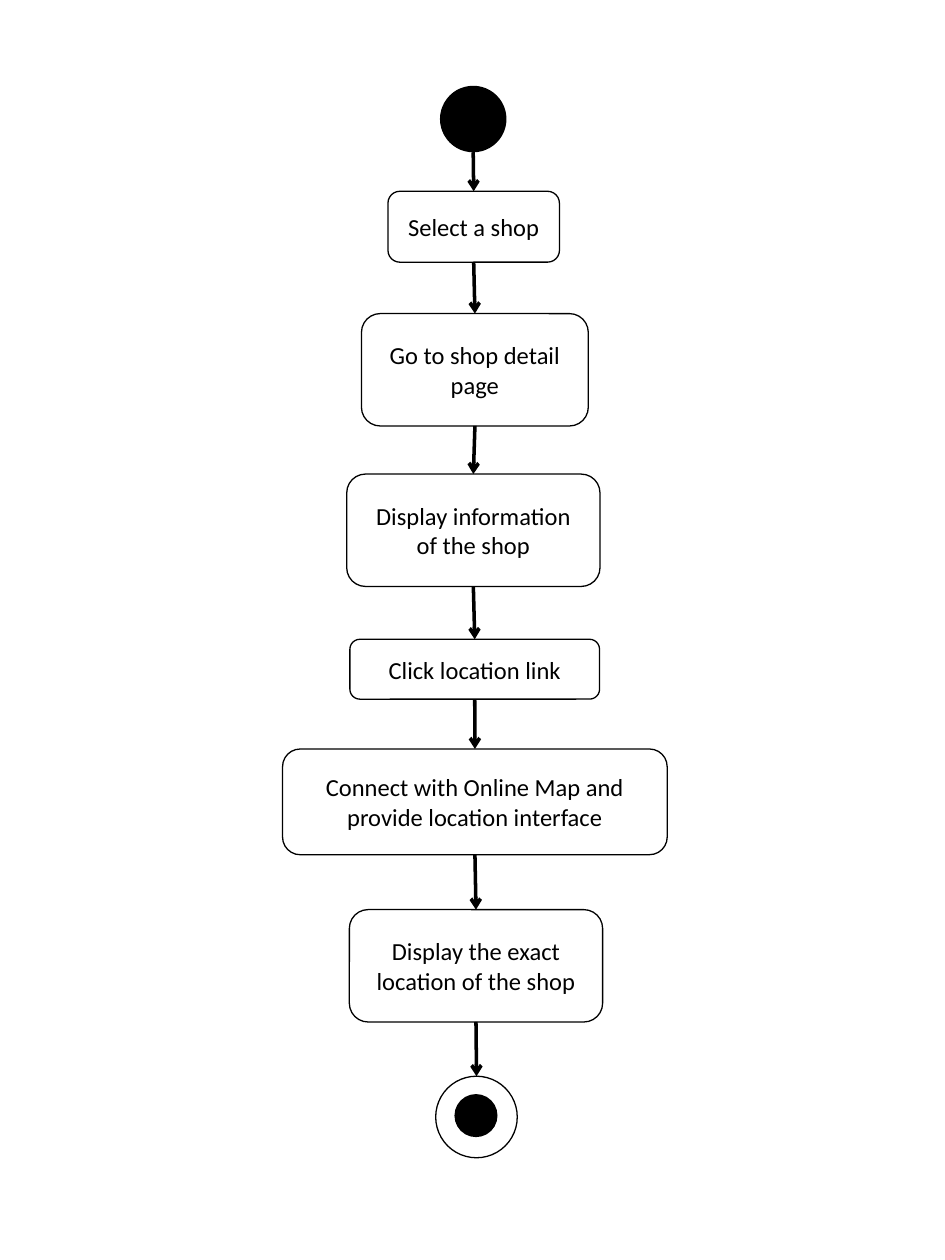
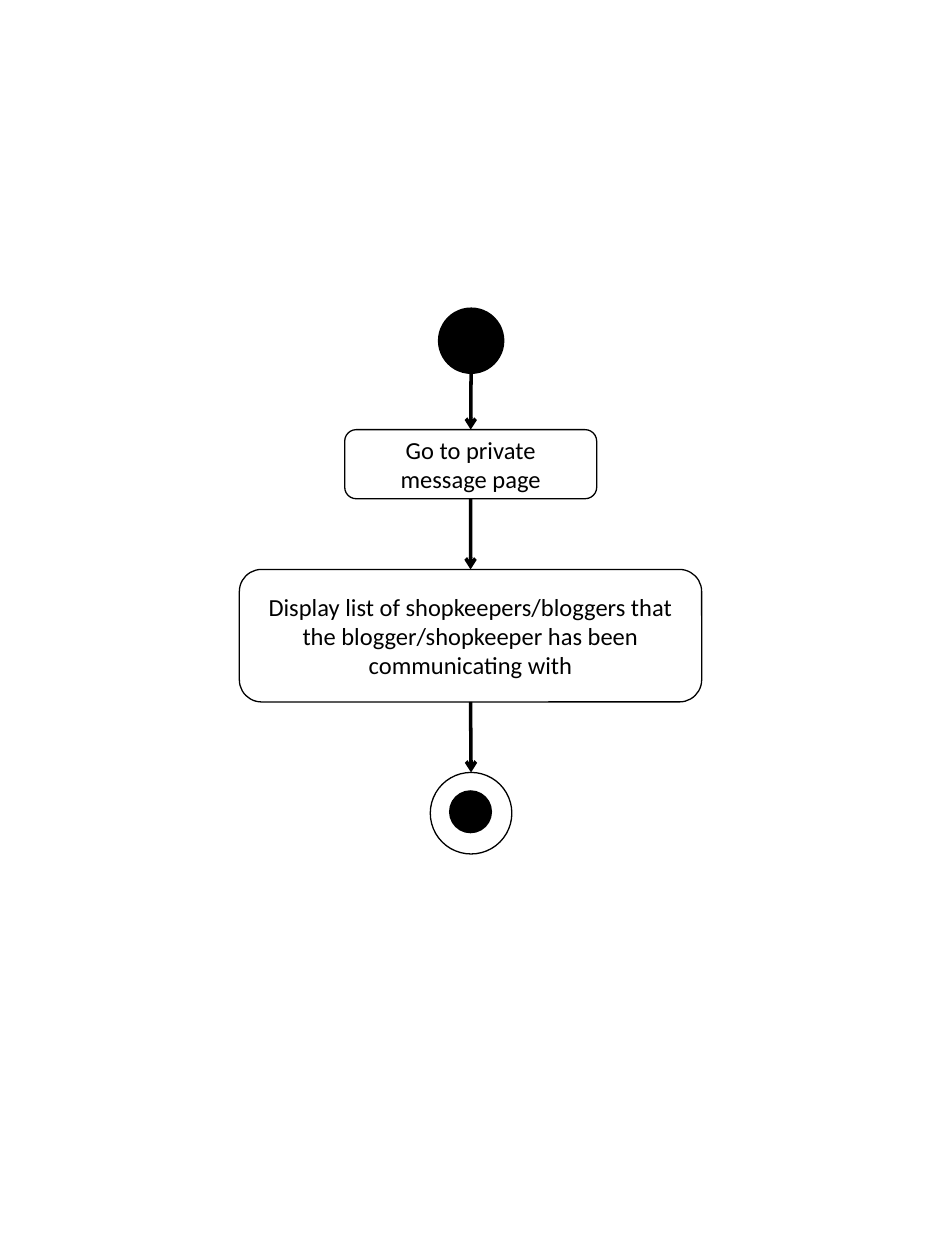
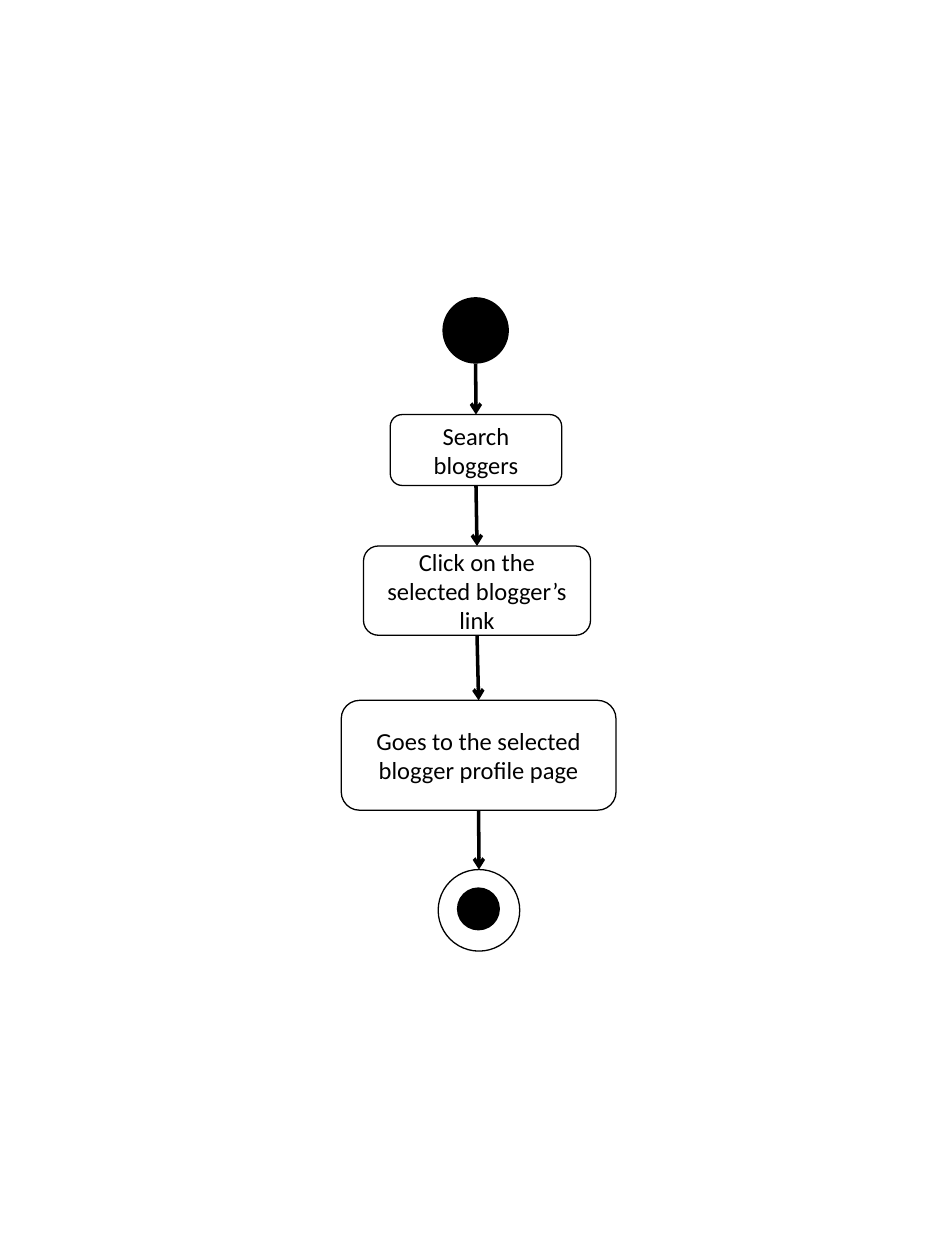
from dataclasses import dataclass

import pptx
import pptx.dml.color
import pptx.enum.shapes
import pptx.enum.text
import pptx.oxml
import pptx.oxml.ns
import pptx.util

Pt = pptx.util.Pt
SHAPE = pptx.enum.shapes.MSO_SHAPE

# Content: start and end are (centre x, top);
# each step is (text, centre x, top, width, height), in points
FLOWS = [
    dict(
        start=(270.4, 49),
        steps=[
            ("Select a shop", 270.7, 109.3, 98, 40.5),
            ("Go to shop detail page", 271.4, 179.2, 129.6, 64.2),
            ("Display information of the shop", 270.5, 270.9, 144.7, 64.2),
            ("Click location link", 271.3, 365.3, 142.7, 34.2),
            ("Connect with Online Map and provide location interface",
             271.4, 428, 219.8, 60.4),
            ("Display the exact location of the shop", 272, 519.8, 144.7, 64.2),
        ],
        end=(272.3, 615),
    ),
    dict(
        start=(269.2, 175.7),
        steps=[
            ("Go to private message page", 269, 245.5, 144, 39.5),
            ("Display list of shopkeepers/bloggers that the blogger/shopkeeper "
             "has been communicating with", 268.9, 325.4, 264.2, 75.7),
        ],
        end=(269.2, 441.4),
    ),
    dict(
        start=(271.8, 169.8),
        steps=[
            ("Search bloggers", 272, 236.9, 98, 40.5),
            ("Click on the selected blogger’s link", 272.6, 312, 129.7, 51),
            ("Goes to the selected blogger profile page", 273.5, 400.2, 157, 62.8),
        ],
        end=(273.7, 496.9),
    ),
]


@dataclass(frozen=True)
class Theme:
    ink: str = "000000"
    paper: str = "FFFFFF"
    font: str = "Calibri"
    step_size: float = 14
    outline: float = 0.75
    arrow: float = 2


THEME = Theme()
START_SIZE = 38
RING_SIZE = 46.6
CORE_SIZE = 24.6
CORE_DROP = 10.2


def color(value):
    return pptx.dml.color.RGBColor.from_string(value)


def add_text(shape, text, size=THEME.step_size, ink=THEME.ink):
    frame = shape.text_frame
    frame.word_wrap = True
    frame.vertical_anchor = pptx.enum.text.MSO_ANCHOR.MIDDLE
    paragraph = frame.paragraphs[0]
    paragraph.alignment = pptx.enum.text.PP_ALIGN.CENTER
    run = paragraph.add_run()
    run.text = text
    run.font.name = THEME.font
    run.font.size = Pt(size)
    run.font.color.rgb = color(ink)


def add_node(slide, kind, center, top, width, height, fill, outlined=True):
    node = slide.shapes.add_shape(
        kind, Pt(center - width / 2), Pt(top), Pt(width), Pt(height))
    node.shadow.inherit = False
    node.fill.solid()
    node.fill.fore_color.rgb = color(fill)
    if outlined:
        node.line.color.rgb = color(THEME.ink)
        node.line.width = Pt(THEME.outline)
    else:
        node.line.fill.background()
    return node


def add_circle(slide, center, top, size, fill, outlined=False):
    return add_node(slide, SHAPE.OVAL, center, top, size, size, fill, outlined)


def add_arrow(slide, source, target):
    arrow = slide.shapes.add_connector(
        pptx.enum.shapes.MSO_CONNECTOR.STRAIGHT,
        source.left + source.width // 2, source.top + source.height,
        target.left + target.width // 2, target.top)
    # Site 2 is the bottom middle of a rectangle, but not of a circle
    if source.auto_shape_type == SHAPE.ROUNDED_RECTANGLE:
        arrow.begin_connect(source, 2)
    arrow.end_connect(target, 0)
    arrow.line.color.rgb = color(THEME.ink)
    arrow.line.width = Pt(THEME.arrow)
    head = pptx.oxml.parse_xml(
        '<a:tailEnd %s type="arrow"/>' % pptx.oxml.ns.nsdecls("a"))
    arrow.line._get_or_add_ln().append(head)
    arrow._element.spPr.append(pptx.oxml.parse_xml(
        "<a:effectLst %s/>" % pptx.oxml.ns.nsdecls("a")))


def draw_flow(slide, start, steps, end):
    # Start point
    nodes = [add_circle(slide, *start, START_SIZE, THEME.ink)]

    # Steps
    for text, *place in steps:
        step = add_node(slide, SHAPE.ROUNDED_RECTANGLE, *place, THEME.paper)
        add_text(step, text)
        nodes.append(step)

    # End point: ring and core
    center, top = end
    nodes.append(add_circle(slide, center, top, RING_SIZE, THEME.paper, outlined=True))
    add_circle(slide, center - 0.3, top + CORE_DROP, CORE_SIZE, THEME.ink)

    # Arrows from each node to the next
    for source, target in zip(nodes, nodes[1:]):
        add_arrow(slide, source, target)


def main():
    deck = pptx.Presentation()
    deck.slide_width, deck.slide_height = Pt(540), Pt(720)
    blank = deck.slide_layouts[6]
    for flow in FLOWS:
        draw_flow(deck.slides.add_slide(blank), **flow)
    deck.save("out.pptx")


if __name__ == "__main__":
    main()
